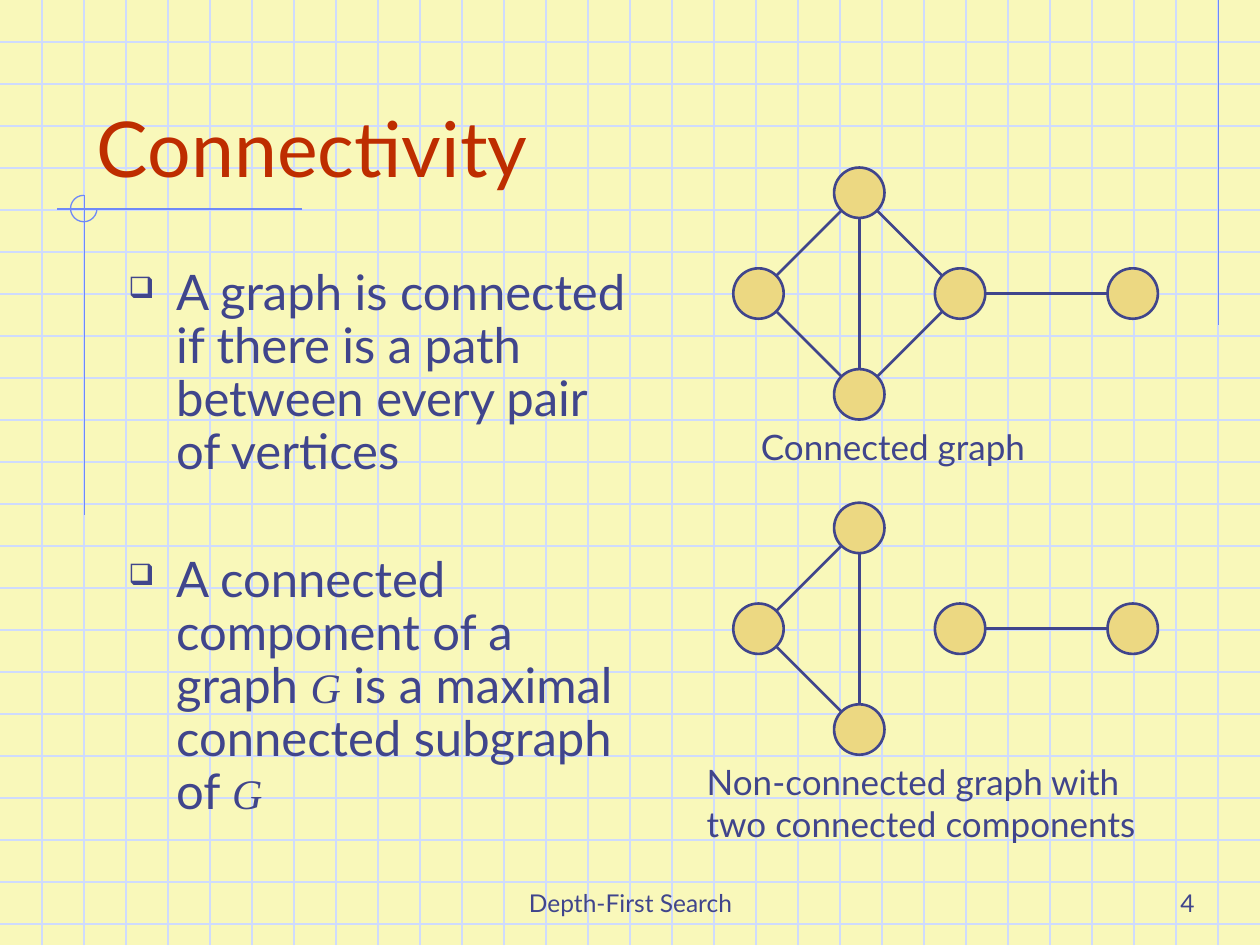
from math import hypot

from lxml import etree
from pptx import Presentation
from pptx.dml.color import RGBColor
from pptx.enum.shapes import MSO_CONNECTOR, MSO_SHAPE
from pptx.enum.text import MSO_ANCHOR, PP_ALIGN
from pptx.oxml.ns import qn
from pptx.util import Inches, Pt

STRAIGHT = MSO_CONNECTOR.STRAIGHT
OVAL, ARC = MSO_SHAPE.OVAL, MSO_SHAPE.ARC
TOP, BOTTOM = MSO_ANCHOR.TOP, MSO_ANCHOR.BOTTOM
LEFT, CENTER, RIGHT = PP_ALIGN.LEFT, PP_ALIGN.CENTER, PP_ALIGN.RIGHT

PAPER = RGBColor(0xF9, 0xF8, 0xBA)
GRID = RGBColor(0xCF, 0xDB, 0xFD)
TRIM = RGBColor(0x6F, 0x89, 0xF7)
INK = RGBColor(0x40, 0x45, 0x8C)
RED = RGBColor(0xBE, 0x2D, 0x00)
GOLD = RGBColor(0xEC, 0xD8, 0x82)

WIDE, HIGH = 10, 7.5
STEP = 1 / 3
RADIUS = 0.2
MATH = {"name": "Times New Roman", "size": Pt(24), "italic": True}


class Deck:
    """Holds the style and the current slide."""

    font = {"name": "Lato", "size": Pt(20)}

    def __init__(self, slide):
        self.slide = slide
        self.shapes = slide.shapes

    def line(self, x1, y1, x2, y2, color, width=0.75):
        ends = [Inches(v) for v in (x1, y1, x2, y2)]
        line = self.shapes.add_connector(STRAIGHT, *ends)
        line.line.color.rgb = color
        line.line.width = Pt(width)
        etree.SubElement(line.line._get_or_add_ln().getparent(), qn("a:effectLst"))

    def round(self, kind, x, y, size, color, width, fill=None):
        shape = self.shapes.add_shape(kind, *map(Inches, (x, y, size, size)))
        shape.shadow.inherit = False
        if fill is None:
            shape.fill.background()
        else:
            shape.fill.solid()
            shape.fill.fore_color.rgb = fill
        shape.line.color.rgb = color
        shape.line.width = Pt(width)
        return shape

    def run(self, para, text, color=INK, **style):
        run = para.add_run()
        run.text = text
        run.font.color.rgb = color
        for key, value in {**self.font, **style}.items():
            setattr(run.font, key, value)

    def box(self, x, y, w, h, anchor=TOP):
        frame = self.shapes.add_textbox(*map(Inches, (x, y, w, h))).text_frame
        frame.word_wrap = True
        frame.vertical_anchor = anchor
        return frame

    def text(self, text, place, anchor=TOP, align=LEFT, **style):
        para = self.box(*place, anchor).paragraphs[0]
        para.alignment = align
        self.run(para, text, **style)

    def bullet(self, para, parts, before):
        para.line_spacing = 0.9
        para.space_before = Pt(before)
        props = para._p.get_or_add_pPr()
        props.set("marL", str(Inches(0.38)))
        props.set("indent", str(Inches(-0.38)))
        tint = etree.SubElement(props, qn("a:buClr"))
        etree.SubElement(tint, qn("a:srgbClr"), val=str(INK))
        etree.SubElement(props, qn("a:buSzPct"), val="60000")
        etree.SubElement(props, qn("a:buChar"), char="❑")
        for text, style in parts:
            self.run(para, text, **{"size": Pt(28), **style})

    def graph(self, nodes, edges, top):
        spots = {name: (x, top + y) for name, (x, y) in nodes.items()}
        for x, y in spots.values():
            self.round(OVAL, x - RADIUS, y - RADIUS, 2 * RADIUS, INK, 1.5, GOLD)
        # Each edge runs from rim to rim
        for a, b in edges:
            (x1, y1), (x2, y2) = spots[a], spots[b]
            ratio = RADIUS / hypot(x2 - x1, y2 - y1)
            dx, dy = (x2 - x1) * ratio, (y2 - y1) * ratio
            self.line(x1 + dx, y1 + dy, x2 - dx, y2 - dy, INK, 1.5)


def main():
    prs = Presentation()
    prs.slide_width, prs.slide_height = Inches(WIDE), Inches(HIGH)
    slide = prs.slides.add_slide(prs.slide_layouts[6])
    slide.background.fill.solid()
    slide.background.fill.fore_color.rgb = PAPER
    deck = Deck(slide)

    # Graph paper
    for i in range(1, 23):
        deck.line(0, i * STEP, WIDE, i * STEP, GRID)
    for i in range(1, 30):
        deck.line(i * STEP, 0, i * STEP, HIGH, GRID)

    # Trim lines and the open circle
    deck.line(9.67, 0, 9.67, 2.58, TRIM)
    deck.line(2.4, 1.66, 0.45, 1.66, TRIM)
    deck.line(0.67, 1.55, 0.67, 4.09, TRIM)
    arc = deck.round(ARC, 0.56, 1.55, 0.21, TRIM, 0.75)
    arc.adjustments[0], arc.adjustments[1] = 0, 162  # 0 to 270 degrees

    # Footer
    small = {"anchor": BOTTOM, "size": Pt(14)}
    deck.text("Depth-First Search", (3.42, 6.83, 3.17, 0.5), align=CENTER, **small)
    deck.text("4", (7.5, 6.83, 2.08, 0.5), align=RIGHT, **small)

    # Title and definitions
    deck.text("Connectivity", (0.67, 0.33, 8.5, 1.25), BOTTOM, size=Pt(44), color=RED)
    body = deck.box(0.92, 2.08, 4.17, 4.92)
    deck.bullet(body.paragraphs[0], [
        ("A graph is connected if there is a path between every pair of vertices", {}),
    ], 7)
    deck.bullet(body.add_paragraph(), [
        ("A connected component of a graph ", {}),
        ("G", MATH),
        (" is a maximal connected subgraph of ", {}),
        ("G", MATH),
    ], 43)

    # Graphs with captions
    nodes = {"east": (7.62, 0.8), "west": (6.02, 0.8), "north": (6.82, 0),
             "south": (6.82, 1.6), "far": (8.99, 0.8)}
    split = [("north", "west"), ("south", "west"), ("north", "south"), ("east", "far")]
    whole = split + [("south", "east"), ("north", "east")]
    deck.graph(nodes, whole, 1.53)
    deck.text("Connected graph", (5.94, 3.33, 3.12, 0.44))
    deck.graph(nodes, split, 4.19)
    deck.text("Non-connected graph with two connected components",
              (5.51, 5.99, 3.99, 0.77))

    prs.save("out.pptx")


if __name__ == "__main__":
    main()
